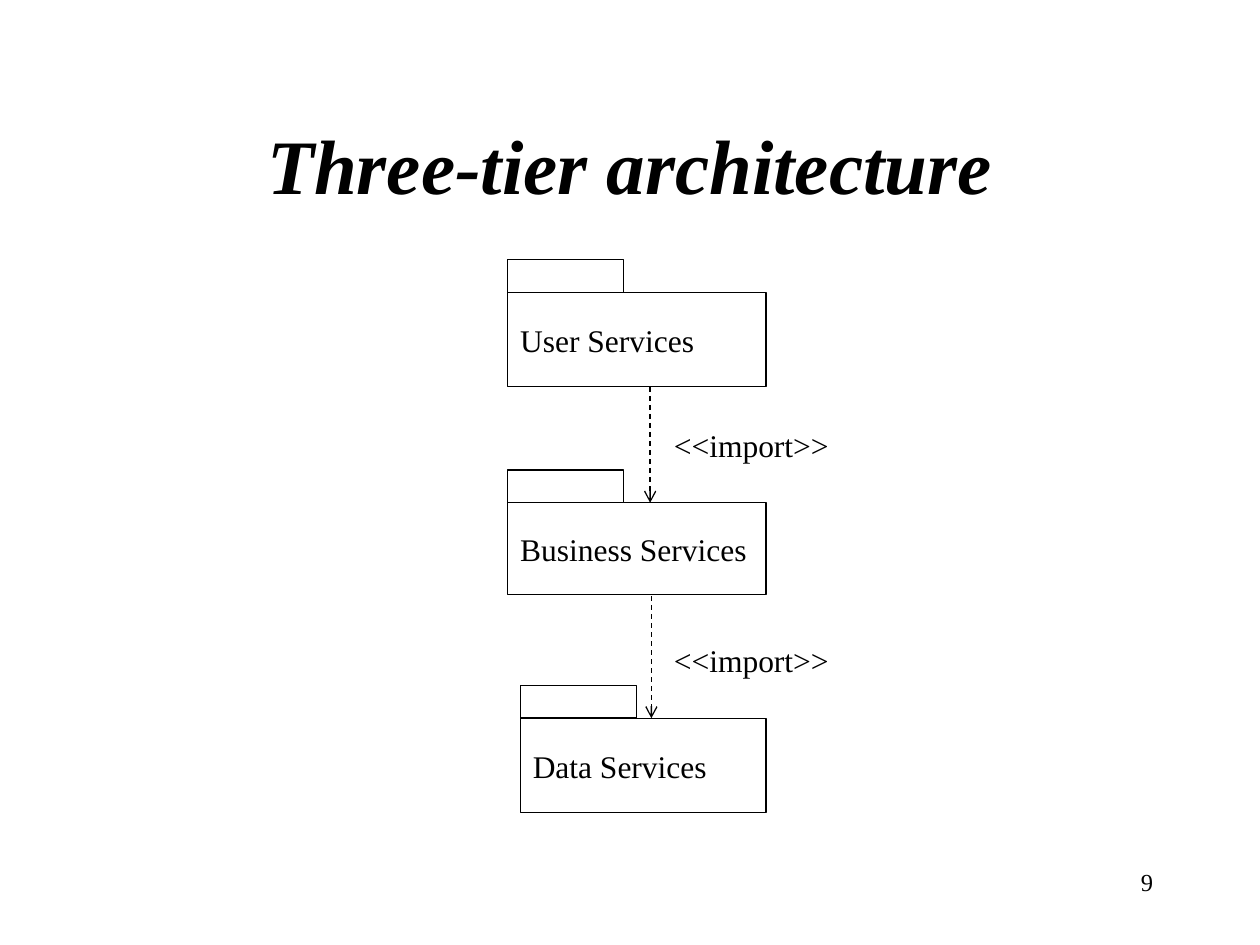
from lxml import etree
from pptx import Presentation
from pptx.dml.color import RGBColor
from pptx.enum.dml import MSO_LINE
from pptx.enum.shapes import MSO_CONNECTOR, MSO_SHAPE
from pptx.enum.text import MSO_ANCHOR, PP_ALIGN
from pptx.oxml.ns import qn
from pptx.util import Inches, Pt

RECT = MSO_SHAPE.RECTANGLE
STRAIGHT = MSO_CONNECTOR.STRAIGHT
DASH = MSO_LINE.DASH
TOP, MIDDLE = MSO_ANCHOR.TOP, MSO_ANCHOR.MIDDLE
LEFT, CENTER, RIGHT = PP_ALIGN.LEFT, PP_ALIGN.CENTER, PP_ALIGN.RIGHT
FONT = "Times New Roman"
BLACK, WHITE = "000000", "FFFFFF"
TAB_WIDTH, TAB_HEIGHT = 0.92, 0.26
EDGE = 6.08


def color(value):
    return RGBColor.from_string(value)


def write(shape, text, size=18, align=LEFT, anchor=TOP, wrap=True, strong=False):
    frame = shape.text_frame
    frame.word_wrap = wrap
    frame.vertical_anchor = anchor
    para = frame.paragraphs[0]
    para.text = text
    para.alignment = align
    font = para.font
    font.name = FONT
    font.size = Pt(size)
    font.bold = font.italic = strong
    font.color.rgb = color(BLACK)


def add_text(slide, area, text, **style):
    box = slide.shapes.add_textbox(*map(Inches, area))
    write(box, text, **style)


def add_rect(slide, *area):
    rect = slide.shapes.add_shape(RECT, *map(Inches, area))
    rect.shadow.inherit = False
    rect.fill.solid()
    rect.fill.fore_color.rgb = color(WHITE)
    rect.line.color.rgb = color(BLACK)
    rect.line.width = Pt(0.75)
    return rect


def add_package(slide, left, top, height, name):
    body = add_rect(slide, left, top, EDGE - left, height)
    write(body, name, anchor=MIDDLE)
    add_rect(slide, left, top - TAB_HEIGHT, TAB_WIDTH, TAB_HEIGHT)


def add_import(slide, x, start, end, label):
    ends = map(Inches, (x, start, x, end))
    arrow = slide.shapes.add_connector(STRAIGHT, *ends)
    arrow.line.color.rgb = color(BLACK)
    arrow.line.width = Pt(0.75)
    arrow.line.dash_style = DASH
    line = arrow.line._get_or_add_ln()
    etree.SubElement(line, qn("a:tailEnd"), type="arrow")
    etree.SubElement(arrow._element.spPr, qn("a:effectLst"))
    add_text(slide, (5.25, label, 1.43, 0.4), "<<import>>", wrap=False)


def main():
    deck = Presentation()
    deck.slide_width, deck.slide_height = Inches(10), Inches(7.5)
    slide = deck.slides.add_slide(deck.slide_layouts[6])
    add_text(slide, (0.75, 0.67, 8.5, 1.25), "Three-tier architecture",
             size=44, align=CENTER, anchor=MIDDLE, strong=True)
    add_package(slide, 4.03, 2.32, 0.75, "User Services")
    add_package(slide, 4.03, 3.99, 0.73, "Business Services")
    add_package(slide, 4.13, 5.7, 0.75, "Data Services")
    add_import(slide, 5.16, 3.07, 3.99, 3.33)
    add_import(slide, 5.17, 4.73, 5.7, 5.04)
    add_text(slide, (7.17, 6.83, 2.08, 0.5), "9", size=14, align=RIGHT)
    deck.save("out.pptx")


if __name__ == "__main__":
    main()
